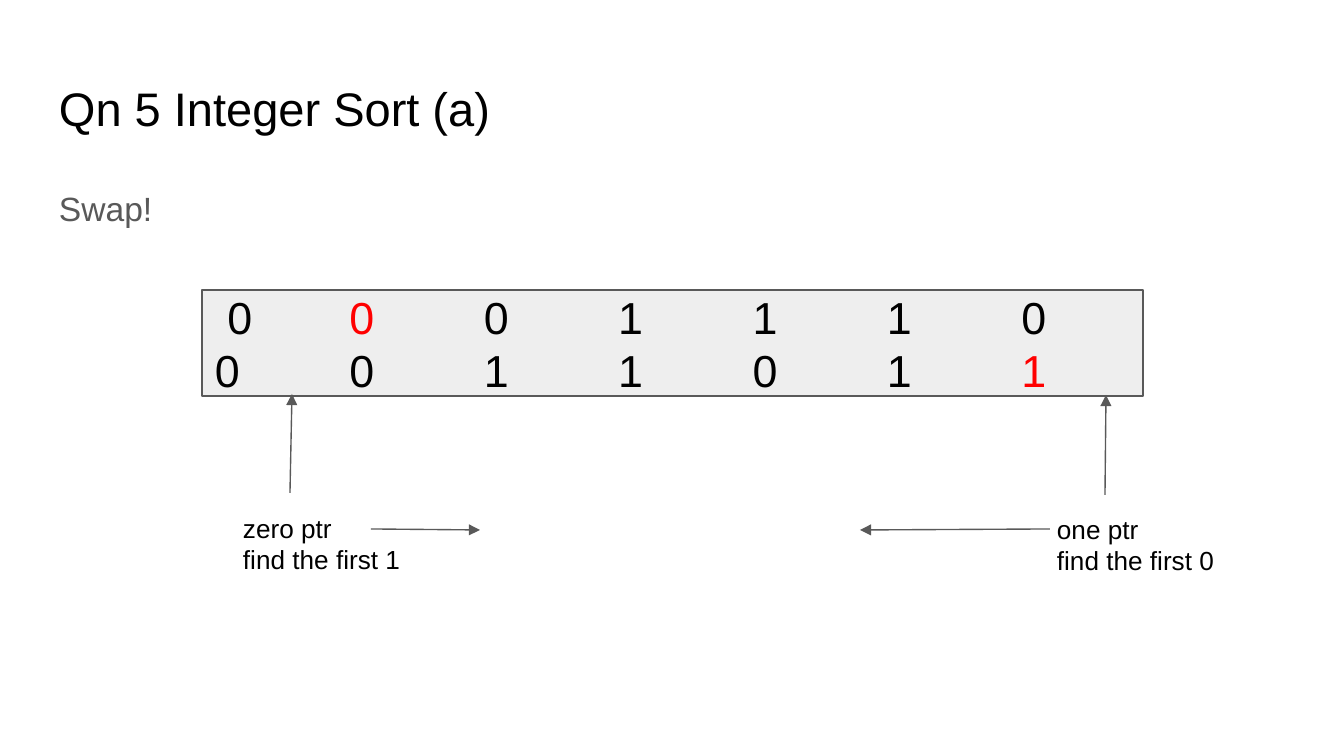
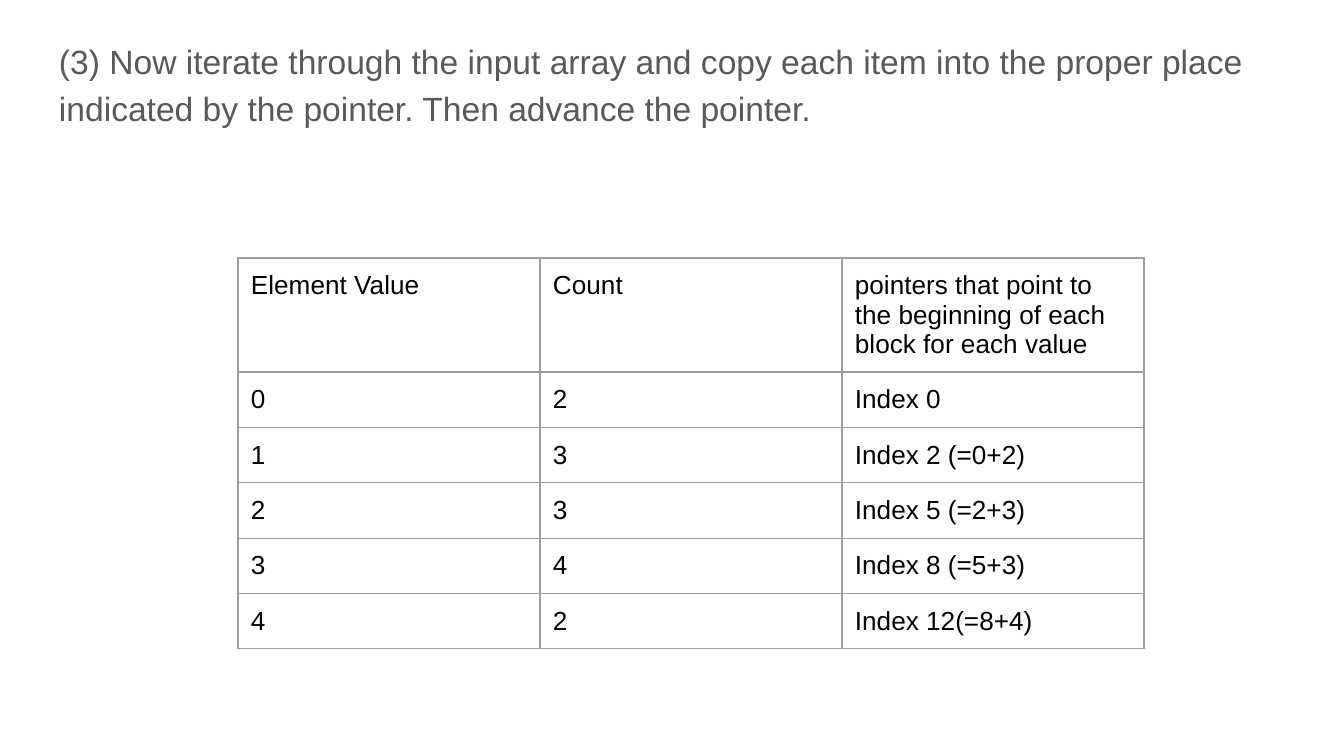
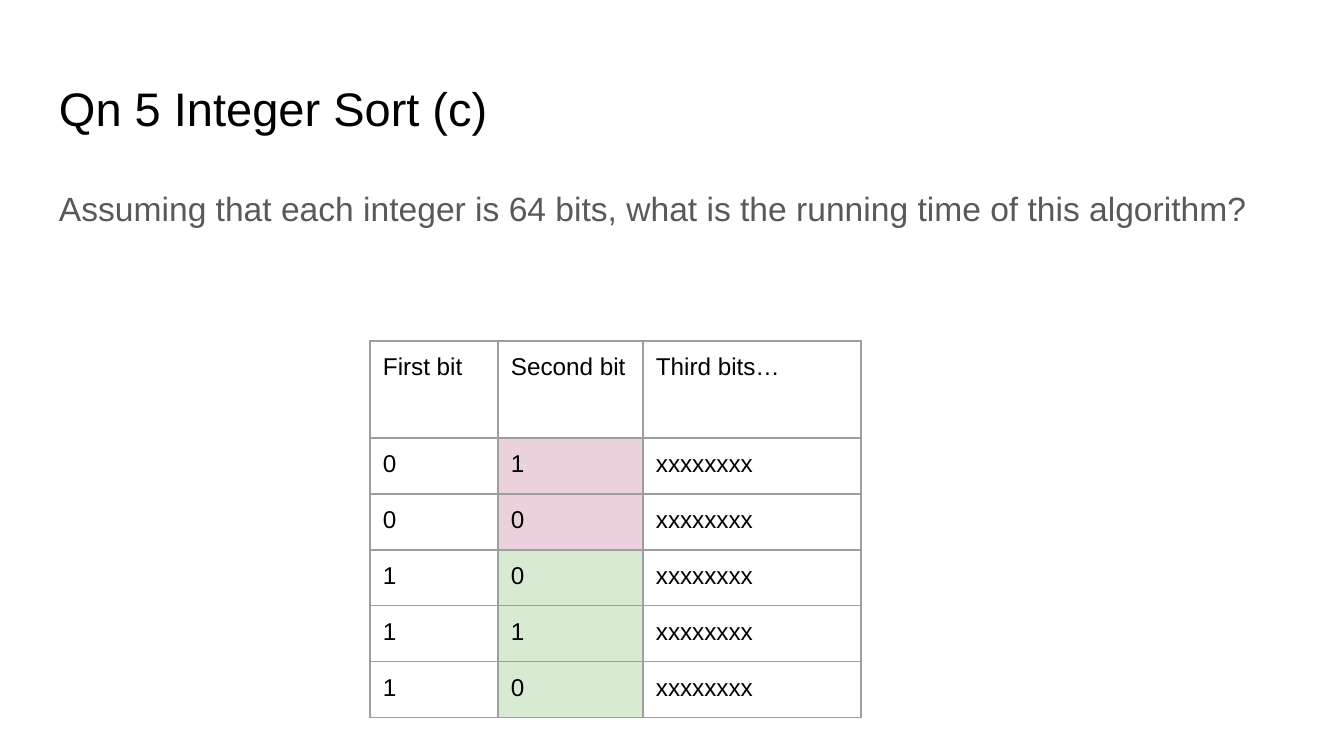
import lxml.etree
import pptx
import pptx.dml.color
import pptx.enum.shapes
import pptx.enum.text
import pptx.oxml.ns
import pptx.util

RGB = pptx.dml.color.RGBColor
Align = pptx.enum.text.PP_ALIGN
Anchor = pptx.enum.text.MSO_ANCHOR
Fit = pptx.enum.text.MSO_AUTO_SIZE
qn = pptx.oxml.ns.qn

# Shared look
BLACK = RGB(0x00, 0x00, 0x00)
GREY = RGB(0x59, 0x59, 0x59)
RED = RGB(0xFF, 0x00, 0x00)
PALE = RGB(0xEE, 0xEE, 0xEE)
RULE = RGB(0x9E, 0x9E, 0x9E)
PINK = RGB(0xEA, 0xD1, 0xDC)
GREEN = RGB(0xD9, 0xEA, 0xD3)
FONT = "Arial"
INSET = 13
TITLE = (46, 66, 1253, 85)

# Content
PAGES = [
    {"title": "Qn 5 Integer Sort (a)",
     "body": "Swap!", "box": (46, 169, 1253, 280)},
    {"body": "(3) Now iterate through the input array and copy each item into "
             "the proper place indicated by the pointer. Then advance the pointer.",
     "box": (46, 22, 1253, 155),
     "table": {"at": (238, 258), "cols": [302, 302, 302], "high": 413,
               "head": 97, "row": 50, "size": 14, "tints": {},
               "rows": [
                   ("Element Value", "Count", "pointers that point to the "
                    "beginning of each block for each value"),
                   ("0", "2", "Index 0"),
                   ("1", "3", "Index 2 (=0+2)"),
                   ("2", "3", "Index 5 (=2+3)"),
                   ("3", "4", "Index 8 (=5+3)"),
                   ("4", "2", "Index 12(=8+4)")]}},
    {"title": "Qn 5 Integer Sort (c)",
     "body": "Assuming that each integer is 64 bits, what is the running time "
             "of this algorithm?",
     "box": (46, 169, 1253, 574), "after": 12,
     "table": {"at": (370, 341), "cols": [128, 145, 218], "high": 376,
               "head": 97, "row": 56, "size": 13,
               "tints": {(1, 1): PINK, (2, 1): PINK, (3, 1): GREEN,
                         (4, 1): GREEN, (5, 1): GREEN},
               "rows": [
                   ("First bit", "Second bit", "Third bits…"),
                   ("0", "1", "xxxxxxxx"),
                   ("0", "0", "xxxxxxxx"),
                   ("1", "0", "xxxxxxxx"),
                   ("1", "1", "xxxxxxxx"),
                   ("1", "0", "xxxxxxxx")]}},
]
ARRAY = (202, 290, 941, 106)
DIGITS = [(" 0\t", BLACK), ("0", RED),
          ("\t0\t1\t1\t1\t0\t0\t0\t1\t1\t0\t1\t", BLACK), ("1", RED)]
NOTES = [((1044, 500, 285, 90), ["one ptr", "find the first 0"]),
         ((230, 499, 194, 90), ["zero ptr", "find the first 1"])]
ARROWS = [(1105, 495, 1106, 395), (1050, 529, 860, 530),
          (290, 493, 292, 394), (371, 529, 480, 530)]


def px(num):
    return pptx.util.Emu(round(num * 914400 / 134.4))


def scale(nums):
    return [px(num) for num in nums]


def add_run(para, text, size, color):
    run = para.add_run()
    run.text = text
    font = run.font
    font.name, font.size, font.bold = FONT, pptx.util.Pt(size), False
    font.color.rgb = color
    return run


def pad(area):
    area.margin_left = area.margin_right = px(INSET)
    area.margin_top = area.margin_bottom = px(INSET)


def set_frame(frame, anchor=Anchor.TOP, fit=Fit.NONE):
    frame.word_wrap = True
    frame.auto_size = fit
    frame.vertical_anchor = anchor
    pad(frame)
    return frame.paragraphs[0]


def fill_holder(shape, box, text, size, color):
    shape.left, shape.top, shape.width, shape.height = scale(box)
    para = set_frame(shape.text_frame)
    para.space_before = pptx.util.Pt(0)
    run = add_run(para, text, size, color)
    run.font._element.set("cap", "none")
    return para


def add_page(deck, page):
    slide = deck.slides.add_slide(deck.slide_layouts[2])
    head, body = slide.placeholders
    if "title" in page:
        fill_holder(head, TITLE, page["title"], 25.2, BLACK)
    else:
        head._element.getparent().remove(head._element)
    para = fill_holder(body, page["box"], page["body"], 18, GREY)
    para.line_spacing = 1.15
    para.space_after = pptx.util.Pt(page.get("after", 0))
    if "table" in page:
        add_grid(slide, page["table"])
    return slide


def edge_cell(cell):
    props = cell._tc.get_or_add_tcPr()
    for spot, side in enumerate(("a:lnL", "a:lnR", "a:lnT", "a:lnB")):
        line = lxml.etree.Element(qn(side), w=str(pptx.util.Pt(0.75)))
        fill = lxml.etree.SubElement(line, qn("a:solidFill"))
        lxml.etree.SubElement(fill, qn("a:srgbClr"), val=str(RULE))
        props.insert(spot, line)


def add_grid(slide, data):
    rows, cols = data["rows"], data["cols"]
    spot = scale((*data["at"], sum(cols), data["high"]))
    frame = slide.shapes.add_table(len(rows), len(cols), *spot)
    table = frame.table
    table.first_row = table.horz_banding = False
    for col, wide in zip(table.columns, cols):
        col.width = px(wide)
    for r, texts in enumerate(rows):
        table.rows[r].height = px(data["row"] if r else data["head"])
        for c, text in enumerate(texts):
            cell = table.cell(r, c)
            pad(cell)
            add_run(cell.text_frame.paragraphs[0], text, data["size"], BLACK)
            tint = data["tints"].get((r, c))
            if tint:
                cell.fill.solid()
                cell.fill.fore_color.rgb = tint
            else:
                cell.fill.background()
            edge_cell(cell)
    frame.height = px(data["high"])


def set_line(line):
    line.color.rgb = GREY
    line.width = pptx.util.Pt(0.75)


def add_array(slide):
    kind = pptx.enum.shapes.MSO_SHAPE.RECTANGLE
    bar = slide.shapes.add_shape(kind, *scale(ARRAY))
    bar.shadow.inherit = False
    bar.fill.solid()
    bar.fill.fore_color.rgb = PALE
    set_line(bar.line)
    para = set_frame(bar.text_frame, Anchor.MIDDLE)
    para.alignment = Align.LEFT
    # One-inch tab stops set the digits in columns
    para._p.get_or_add_pPr().set("defTabSz", str(pptx.util.Inches(1)))
    for text, color in DIGITS:
        add_run(para, text, 24, color)


def add_note(slide, box, lines):
    frame = slide.shapes.add_textbox(*scale(box)).text_frame
    para = set_frame(frame, fit=Fit.SHAPE_TO_FIT_TEXT)
    for num, text in enumerate(lines):
        if num:
            para = frame.add_paragraph()
        add_run(para, text, 14, BLACK)


def add_arrow(slide, ends):
    kind = pptx.enum.shapes.MSO_CONNECTOR.STRAIGHT
    arrow = slide.shapes.add_connector(kind, *scale(ends))
    set_line(arrow.line)
    props = arrow._element.spPr
    lxml.etree.SubElement(props.find(qn("a:ln")), qn("a:tailEnd"), type="triangle")
    lxml.etree.SubElement(props, qn("a:effectLst"))


def main():
    deck = pptx.Presentation()
    deck.slide_width, deck.slide_height = scale((1344, 756))
    swap, *_ = [add_page(deck, page) for page in PAGES]

    # Array with its two pointers
    add_array(swap)
    for box, lines in NOTES:
        add_note(swap, box, lines)
    for ends in ARROWS:
        add_arrow(swap, ends)
    deck.save("out.pptx")


if __name__ == "__main__":
    main()
